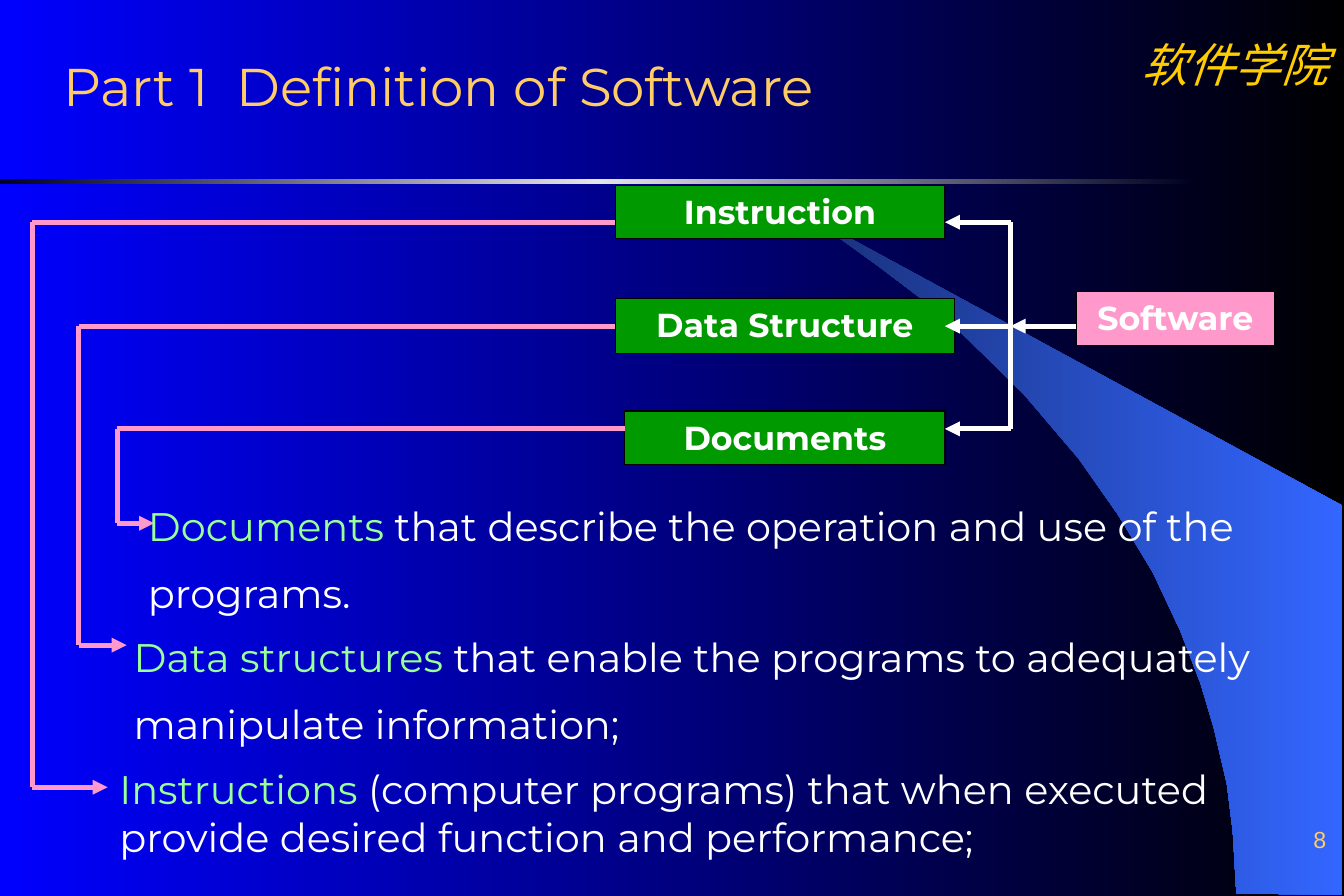
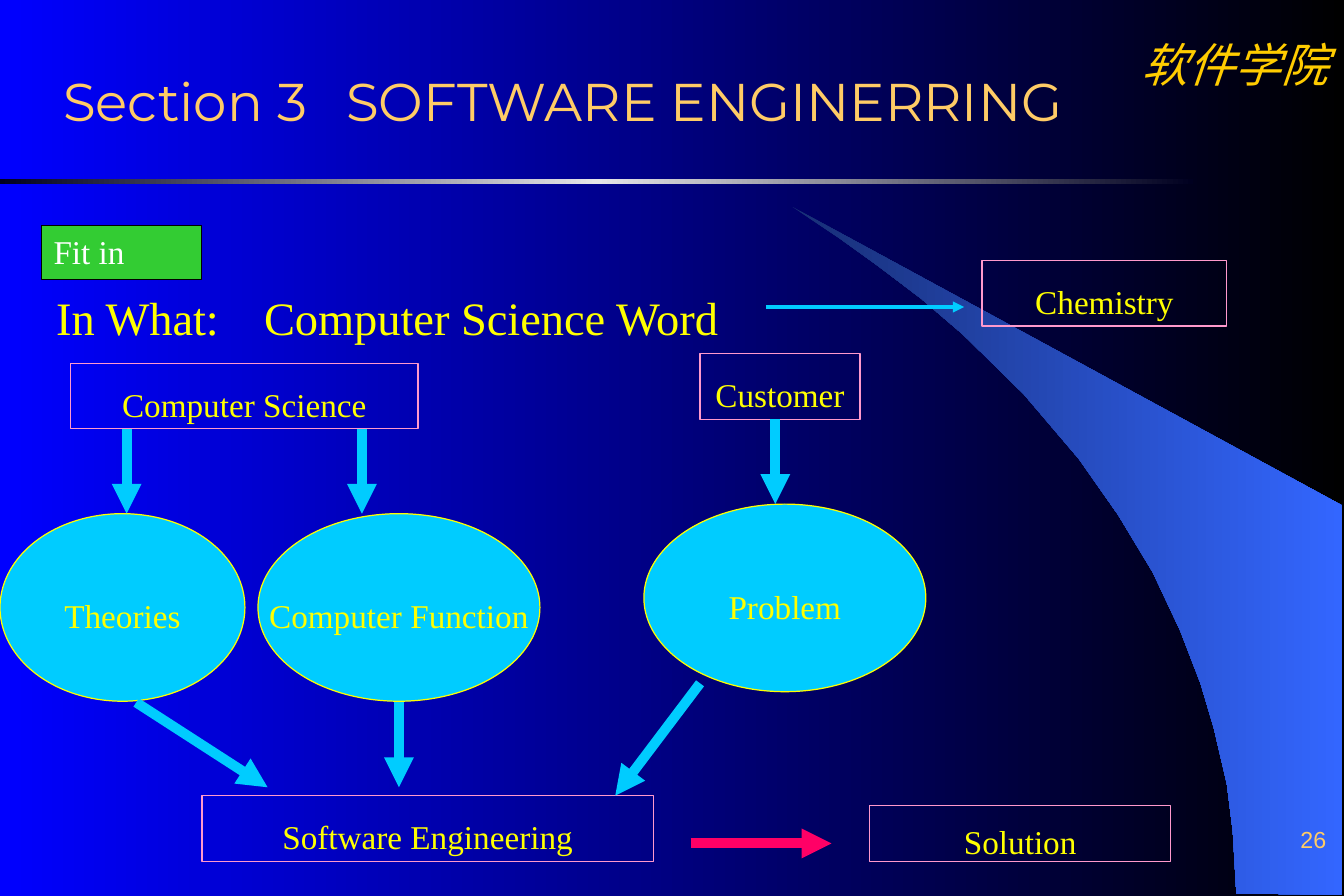
from copy import deepcopy
from itertools import pairwise

from lxml import etree
from pptx import Presentation
from pptx import util as u
from pptx.dml.color import RGBColor
from pptx.enum import shapes, text
from pptx.oxml.ns import qn

PX = 9144
SANS, SERIF, PLAIN = "Montserrat", "Times New Roman", "Arial"
BLUE, BLACK, WHITE = "0000FF", "000000", "FFFFFF"
GOLD, AMBER, YELLOW = "FFCC66", "FFCC00", "FFFF00"
PINK, GREEN, LIME, MINT = "FF99CC", "009900", "33CC33", "99FF99"
CYAN, RED = "00CCFF", "FF0066"
LEFT, CENTER, RIGHT = text.PP_ALIGN.LEFT, text.PP_ALIGN.CENTER, text.PP_ALIGN.RIGHT
TOP, MIDDLE, BOTTOM = text.MSO_ANCHOR.TOP, text.MSO_ANCHOR.MIDDLE, text.MSO_ANCHOR.BOTTOM
RECT, OVAL = shapes.MSO_SHAPE.RECTANGLE, shapes.MSO_SHAPE.OVAL

SCHOOL = "软件学院"
BAND = ["000020", "E5E5E8", "000020"]
SWOOSH_FILL = ["182F76", "3366FF"]
SWOOSH = [
    (1035, 748), (1123, 749), (1123, 423), (663, 173), (702, 199), (734, 222),
    (771, 250), (806, 280), (857, 330), (903, 384), (936, 431), (965, 479),
    (988, 528), (1005, 572), (1016, 609), (1027, 656), (1032, 696),
]

BUS_X, HEAD_X = 846, 791
SOFTWARE = (901, 244, 166, 45)
PARTS = [
    {"name": "Documents", "box": (523, 344, 268, 45), "link_y": 359,
     "lane_x": 98, "tip": (129, 438), "text_at": (114, 399, 1011, 115), "spacing": 1.4,
     "term": "Documents ",
     "meaning": "that describe the operation and use of the programs."},
    {"name": "Data Structure", "box": (515, 250, 284, 46), "link_y": 273,
     "lane_x": 66, "tip": (106, 540), "text_at": (102, 509, 1011, 102), "spacing": 1.4,
     "term": "Data structures",
     "meaning": " that enable the programs to adequately manipulate information;"},
    {"name": "Instruction", "box": (515, 155, 276, 45), "link_y": 186,
     "lane_x": 27, "tip": (90, 659), "text_at": (90, 635, 1011, 84), "spacing": 1,
     "term": "Instructions ",
     "meaning": "(computer programs) that when executed provide desired function "
                "and performance;"},
]

FRAMES = [
    ("Chemistry", (822, 218, 205, 55)),
    ("Computer Science", (59, 304, 291, 55)),
    ("Customer", (586, 296, 134, 55)),
    ("Software Engineering", (169, 666, 378, 55)),
    ("Solution", (728, 674, 252, 47)),
]
OVALS = [
    ("Theories", (0, 430, 205, 157)),
    ("Computer Function", (216, 430, 236, 157)),
    ("Problem", (539, 422, 236, 157)),
]
ARROWS = [
    ((303, 359), (303, 430), CYAN, 6),
    ((106, 359), (106, 430), CYAN, 6),
    ((649, 351), (649, 422), CYAN, 6),
    ((114, 588), (224, 659), CYAN, 6),
    ((334, 588), (334, 659), CYAN, 6),
    ((586, 572), (515, 666), CYAN, 6),
    ((641, 257), (807, 257), CYAN, 2.25),
    ((578, 706), (696, 706), RED, 6),
]


def rgb(colour):
    return RGBColor.from_string(colour)


def emu(lengths):
    return [length * PX for length in lengths]


def paint_gradient(fill, owner, colours):
    fill.gradient()
    fill.gradient_angle = 0
    stop_list = next(owner.iter(qn("a:gsLst")))
    for _ in colours[2:]:
        stop_list.append(deepcopy(stop_list[0]))
    for index, (stop, colour) in enumerate(zip(fill.gradient_stops, colours)):
        stop.position = index / (len(colours) - 1)
        stop.color.rgb = rgb(colour)


def write(box, spans, size, font=SANS, align=LEFT, anchor=TOP, inset=(10, 5),
          spacing=1, wrap=True, bold=False, italic=False, tab=None):
    frame = box.text_frame
    frame.word_wrap = wrap
    frame.vertical_anchor = anchor
    frame.margin_left = frame.margin_right = inset[0] * PX
    frame.margin_top = frame.margin_bottom = inset[1] * PX
    para = frame.paragraphs[0]
    para.alignment = align
    para.line_spacing = spacing
    if tab:
        tabs = etree.SubElement(para._p.get_or_add_pPr(), qn("a:tabLst"))
        etree.SubElement(tabs, qn("a:tab"), pos=str(tab * PX), algn="l")
    for words, colour in spans:
        span = para.add_run()
        span.text = words
        span.font.size = u.Pt(size)
        span.font.name = font
        span.font.bold = bold
        span.font.italic = italic
        span.font.color.rgb = rgb(colour)


def add_text(page, at, spans, size, **style):
    write(page.shapes.add_textbox(*emu(at)), spans, size, **style)


def add_box(page, at, fill=None, line=BLACK, kind=RECT):
    box = page.shapes.add_shape(kind, *emu(at))
    box.shadow.inherit = False
    if fill:
        box.fill.solid()
        box.fill.fore_color.rgb = rgb(fill)
    else:
        box.fill.background()
    box.line.color.rgb = rgb(line)
    box.line.width = u.Pt(0.75)
    return box


def add_route(page, points, colour, width, arrow=True):
    lines = []
    for start, end in pairwise(points):
        line = page.shapes.add_connector(
            shapes.MSO_CONNECTOR.STRAIGHT, *emu(start + end))
        line.line.color.rgb = rgb(colour)
        line.line.width = u.Pt(width)
        etree.SubElement(line.element.spPr, qn("a:effectLst"))
        lines.append(line)
    if arrow:
        outline = lines[-1].line._get_or_add_ln()
        etree.SubElement(outline, qn("a:tailEnd"), type="triangle")
    return lines


def add_page(deck, title, title_at, tab, number):
    page = deck.slides.add_slide(deck.slide_layouts[6])
    paint_gradient(page.background.fill, page.element, [BLUE, BLACK])
    add_text(page, (942, 25, 183, 57), [(SCHOOL, AMBER)], 28, font=SERIF,
             align=CENTER, italic=True)

    outline = page.shapes.build_freeform(*SWOOSH[0], scale=PX)
    outline.add_line_segments(SWOOSH[1:], close=True)
    swoosh = outline.convert_to_shape()
    band = page.shapes.add_shape(RECT, *emu((0, 150, 999, 4)))
    for shape, colours in ((swoosh, SWOOSH_FILL), (band, BAND)):
        shape.shadow.inherit = False
        shape.line.fill.background()
        paint_gradient(shape.fill, shape.element, colours)

    add_text(page, (886, 672, 234, 42), [(number, GOLD)], 14, font=PLAIN,
             align=RIGHT, anchor=BOTTOM, inset=(10, 0))
    add_text(page, title_at, [(title, GOLD)], 32, anchor=MIDDLE, tab=tab)
    return page


def build_definition(deck):
    page = add_page(deck, "Part 1\tDefinition of Software", (43, 44, 772, 55), 145, "8")
    label = {"size": 20, "align": CENTER, "bold": True}
    write(add_box(page, SOFTWARE, PINK), [("Software", WHITE)], **label)
    link_ys = [part["link_y"] for part in PARTS]
    add_route(page, [(SOFTWARE[0], link_ys[1]), (BUS_X, link_ys[1])], WHITE, 3)
    add_route(page, [(BUS_X, link_ys[0]), (BUS_X, link_ys[-1])], WHITE, 3, arrow=False)

    for part in PARTS:
        left, top, _, height = part["box"]
        link_y, lane_x, tip = part["link_y"], part["lane_x"], part["tip"]
        box = add_box(page, part["box"], GREEN)
        write(box, [(part["name"], WHITE)], **label)
        add_route(page, [(BUS_X, link_y), (HEAD_X, link_y)], WHITE, 3)
        lines = add_route(
            page, [(left, link_y), (lane_x, link_y), (lane_x, tip[1]), tip], PINK, 3)
        if link_y * 2 == top * 2 + height:
            lines[0].begin_connect(box, 1)
        add_text(page, part["text_at"], [(part["term"], MINT), (part["meaning"], WHITE)],
                 24, spacing=part["spacing"])


def build_engineering(deck):
    page = add_page(deck, "Section 3\tSOFTWARE ENGINERRING", (43, 44, 1082, 79), 237, "26")
    add_text(page, (27, 218, 653, 55), [("In What:\tComputer Science Word", YELLOW)], 28,
             font=SERIF, inset=(20, 5), spacing=1.4, tab=174)
    for kind, fill, line, items in ((RECT, None, PINK, FRAMES), (OVAL, CYAN, YELLOW, OVALS)):
        for name, at in items:
            write(add_box(page, at, fill, line, kind), [(name, YELLOW)], 20, font=SERIF,
                  align=CENTER, anchor=MIDDLE, inset=(20, 5), spacing=1.4, wrap=False)
    for start, end, colour, width in ARROWS:
        add_route(page, [start, end], colour, width)
    write(add_box(page, (35, 189, 134, 45), LIME), [("Fit in", WHITE)], 20, font=SERIF)


def main():
    deck = Presentation()
    deck.slide_width, deck.slide_height = emu((1125, 750))
    build_definition(deck)
    build_engineering(deck)
    deck.save("out.pptx")


if __name__ == "__main__":
    main()
